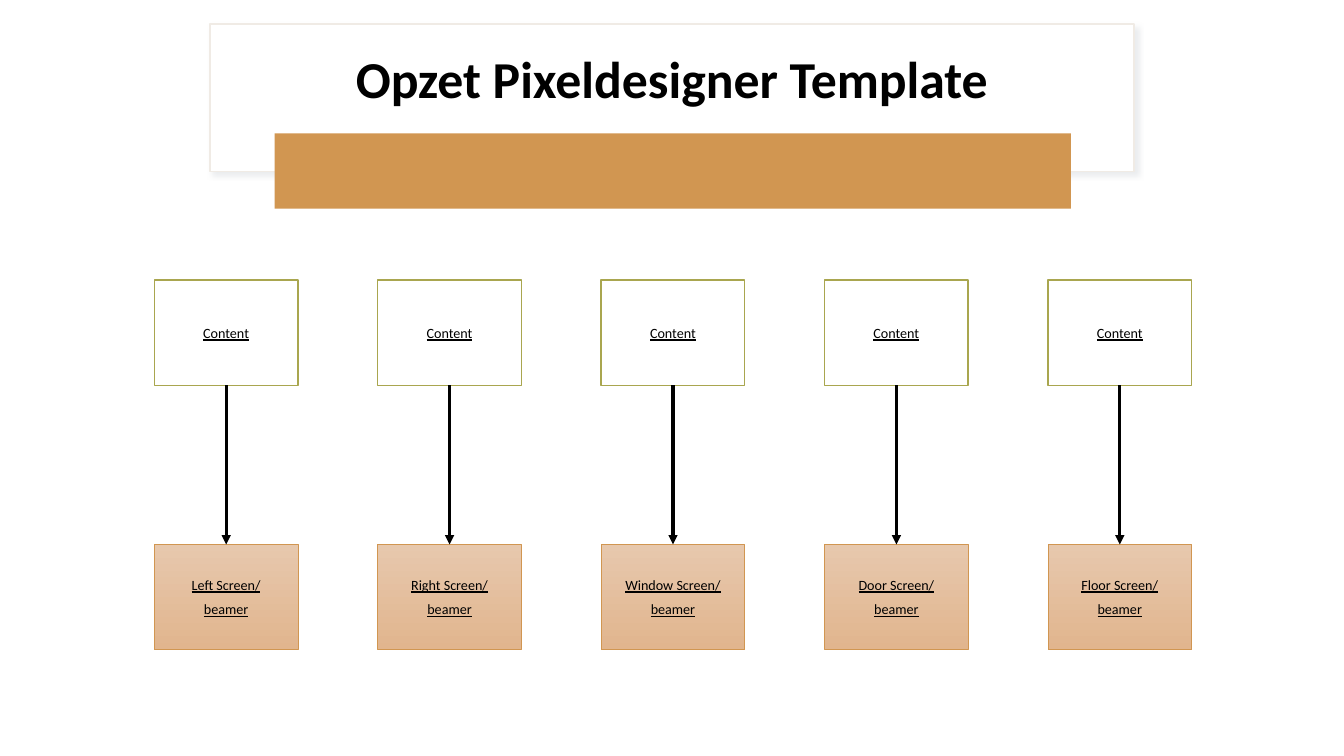
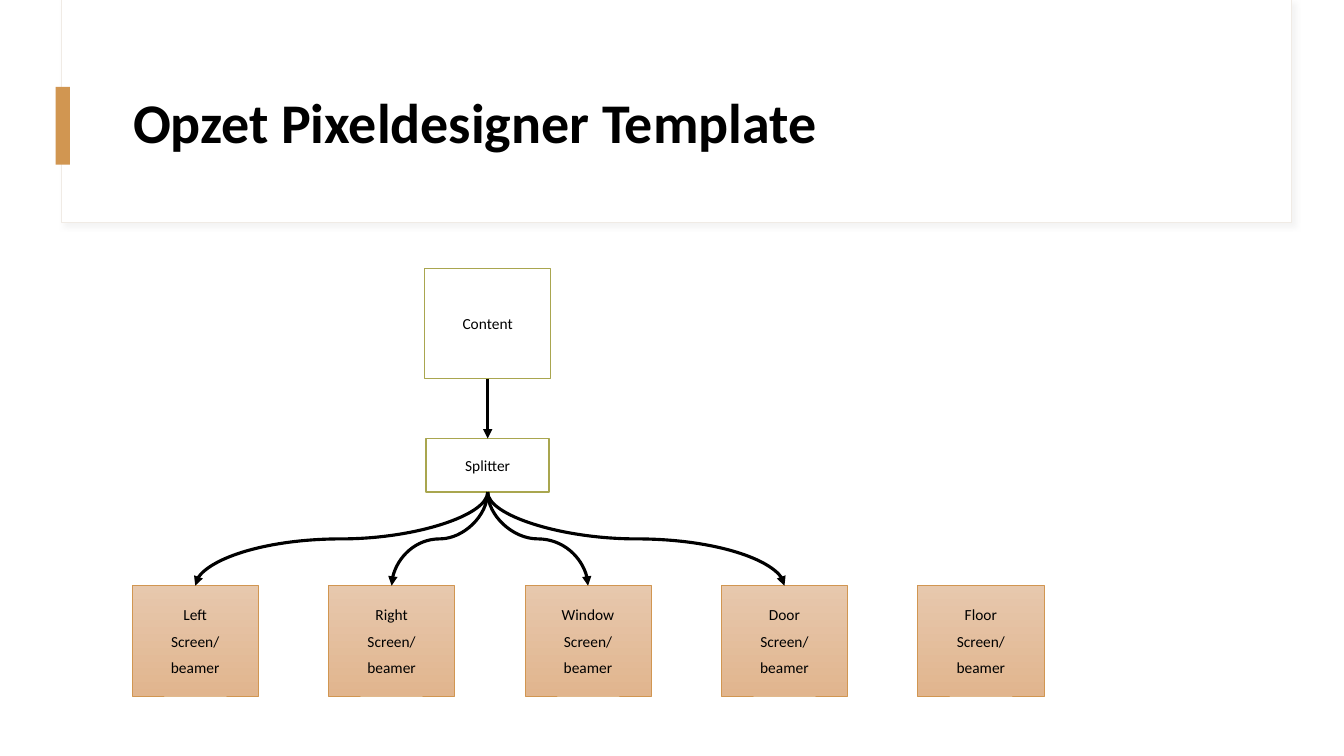
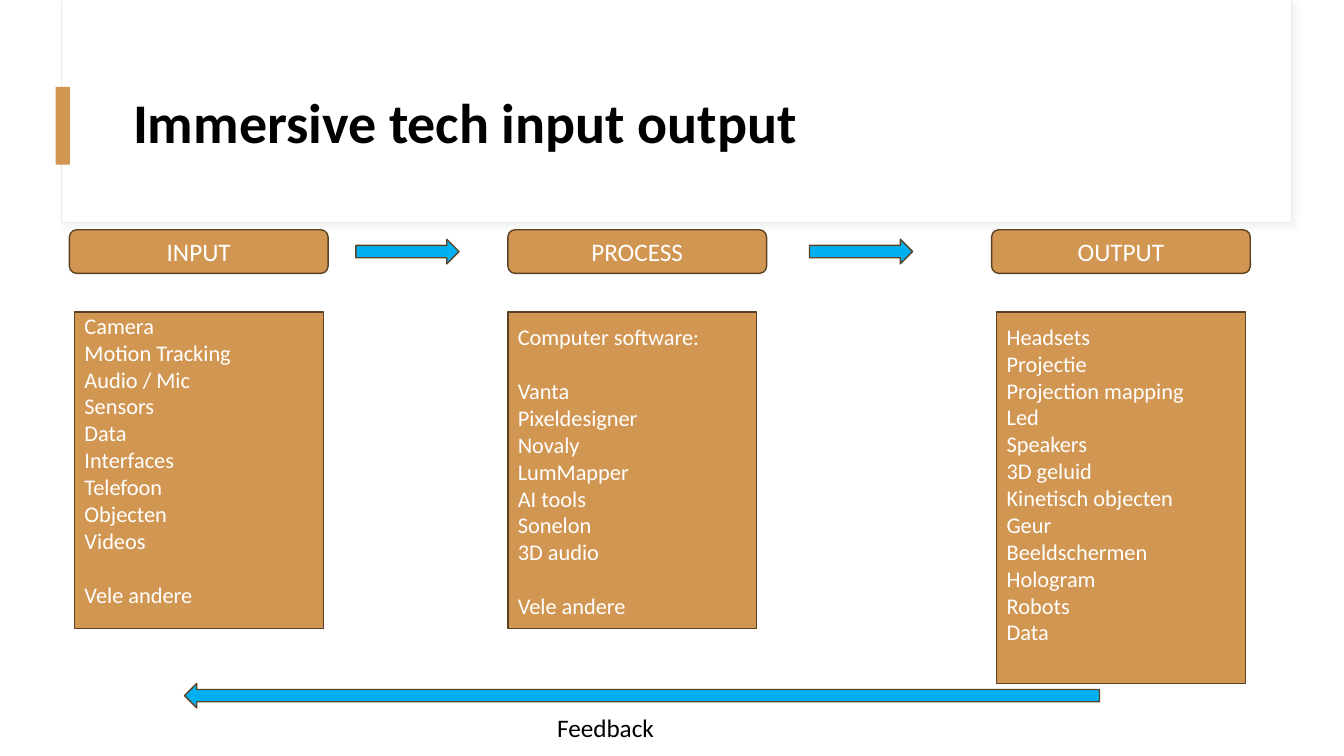
import dataclasses

import lxml.etree
import pptx
import pptx.dml.color
import pptx.enum.shapes
import pptx.enum.text
import pptx.oxml.ns
import pptx.util

Cm = pptx.util.Cm
Pt = pptx.util.Pt
KIND = pptx.enum.shapes.MSO_SHAPE
LINK = pptx.enum.shapes.MSO_CONNECTOR
ALIGN = pptx.enum.text.PP_ALIGN
ANCHOR = pptx.enum.text.MSO_ANCHOR
qn = pptx.oxml.ns.qn


@dataclasses.dataclass(frozen=True)
class Theme:
    """Colours, font and type sizes of the deck."""
    font: str = "Calibri"
    black: str = "000000"
    white: str = "FFFFFF"
    gold: str = "D19651"
    brown: str = "5C4224"
    olive: str = "A9A64F"
    blue: str = "00B0F0"
    edge: str = "F0EBE5"
    mist: str = "D9D9D9"
    steel: str = "BCC3CA"
    fade: tuple = ("E7C8AD", "E1B58E")
    cover: float = 37
    title: float = 40
    head: float = 18
    body: float = 16
    node: float = 11
    small: float = 10.1


THEME = Theme()
NAMES = ("Left", "Right", "Window", "Door", "Floor")


def rgb(code):
    """Turn a hex code into a colour."""
    return pptx.dml.color.RGBColor.from_string(code)


def write(shape, text, size, color=THEME.black, bold=False, under=False, align=ALIGN.LEFT,
          anchor=ANCHOR.MIDDLE, after=0, line=None, gaps=None, inset=None):
    """Fill a shape with formatted lines of text; gaps maps a line to its space before."""
    frame = shape.text_frame
    frame.word_wrap = True
    frame.auto_size = pptx.enum.text.MSO_AUTO_SIZE.NONE
    frame.vertical_anchor = anchor
    if inset is not None:
        frame.margin_top = Cm(inset)
    for row, words in enumerate(text.split("\n")):
        para = frame.paragraphs[0] if row == 0 else frame.add_paragraph()
        run = para.add_run()
        run.text = words
        para.alignment = align
        para.space_before = Pt((gaps or {}).get(row, 0))
        para.space_after = Pt(after)
        if line:
            para.line_spacing = line
        font = run.font
        font.name, font.size, font.bold, font.underline = THEME.font, Pt(size), bold, under
        font.color.rgb = rgb(color)


def draw(slide, kind, box, fill, line=None, width=1.0, shade=None):
    """Add a shape with a plain or graded fill and an optional line and shadow."""
    shape = slide.shapes.add_shape(kind, *map(Cm, box))
    shape.shadow.inherit = False
    if isinstance(fill, tuple):
        shape.fill.gradient()
        shape.fill.gradient_angle = 270
        for stop, code in zip(shape.fill.gradient_stops, fill):
            stop.color.rgb = rgb(code)
    else:
        shape.fill.solid()
        shape.fill.fore_color.rgb = rgb(fill)
    if line:
        shape.line.color.rgb = rgb(line)
        shape.line.width = Pt(width)
    else:
        shape.line.fill.background()
    if shade:
        host = shape.element.spPr.find(qn("a:effectLst"))
        cast = lxml.etree.SubElement(host, qn("a:outerShdw"), blurRad="50800", dist="38100",
                                     dir="2700000", algn="tl", rotWithShape="0")
        tint = lxml.etree.SubElement(cast, qn("a:srgbClr"), val=shade)
        lxml.etree.SubElement(tint, qn("a:alpha"), val="30000")
    return shape


def arrow(slide, start, end, kind=LINK.STRAIGHT):
    """Add a black arrow between two points."""
    link = slide.shapes.add_connector(kind, *map(Cm, (*start, *end)))
    link.line.color.rgb = rgb(THEME.black)
    link.line.width = Pt(2.25)
    props = link.element.spPr
    lxml.etree.SubElement(props.find(qn("a:ln")), qn("a:tailEnd"), type="triangle")
    lxml.etree.SubElement(props, qn("a:effectLst"))
    return link


def curve(slide, start, end):
    """Add a curved arrow that leaves and arrives vertically."""
    (left, top), (right, low) = start, end
    mid, level = (left + right) / 2, (top + low) / 2
    tall, wide = (low - top) / 2, abs(right - left) / 2
    turn, side = (270, tall) if right > left else (90, -tall)
    link = arrow(slide, (mid + side, level - wide), (mid - side, level + wide), LINK.CURVE)
    link.element.spPr.find(qn("a:xfrm")).set("rot", str(turn * 60000))


def place(slide, text, box, size, align=ALIGN.LEFT):
    """Move the title in front of what is drawn so far and write it."""
    title = slide.shapes.title
    title.left, title.top, title.width, title.height = map(Cm, box)
    title.element.getparent().append(title.element)
    write(title, text, size, bold=True, align=align, line=0.9)


def banner(slide, text):
    """Draw the framed title band and its gold tab."""
    draw(slide, KIND.RECTANGLE, (1.55, 0, 31.01, 5.61), THEME.white, THEME.edge, 0.75, THEME.mist)
    draw(slide, KIND.RECTANGLE, (1.4, 2.19, 0.36, 1.96), THEME.gold)
    place(slide, text, (3.1, 1.52, 28.24, 3.28), THEME.title)


def cover(slide, text, left, top):
    """Draw the centred title card with the gold bar across its foot."""
    draw(slide, KIND.RECTANGLE, (left, top, 23.29, 3.71), THEME.white, THEME.edge, 1, THEME.steel)
    place(slide, text, (left + 0.56, top + 0.25, 22.17, 2.41), THEME.cover, ALIGN.CENTER)
    draw(slide, KIND.RECTANGLE, (left + 1.63, top + 2.75, 20.07, 1.9), THEME.gold)


def source(slide, text, box, **form):
    """Draw a white node with an olive line."""
    node = draw(slide, KIND.RECTANGLE, box, THEME.white, THEME.olive)
    write(node, text, align=ALIGN.CENTER, **form)


def screen(slide, text, box, **form):
    """Draw a graded screen node."""
    node = draw(slide, KIND.RECTANGLE, box, THEME.fade, THEME.gold, 0.5)
    write(node, text, align=ALIGN.CENTER, **form)


def pairs(slide, left, top):
    """Draw one content node above each screen, joined by an arrow."""
    wide, high, step, drop = 3.62, 2.65, 5.63, 6.66
    form = dict(size=THEME.small, under=True, after=5.5)
    for col, name in enumerate(NAMES):
        edge = left + col * step
        mid = edge + wide / 2
        source(slide, "Content", (edge, top, wide, high), **form)
        screen(slide, f"{name} Screen/\nbeamer", (edge, top + drop, wide, high), **form)
        arrow(slide, (mid, top + high), (mid, top + drop))


def split(slide, left, top):
    """Draw one content node that a splitter sends to four of five screens."""
    wide, high, step = 3.18, 2.78, 4.95
    mid, fork, low, base = left + 8.96, top + 4.29, top + 5.64, top + 8
    form = dict(size=THEME.node, after=6)
    for col, name in enumerate(NAMES):
        edge = left + col * step
        screen(slide, f"{name}\nScreen/\nbeamer", (edge, base, wide, high), **form)
    source(slide, "Splitter", (mid - 1.55, fork, 3.1, low - fork), **form)
    source(slide, "Content", (mid - wide / 2, top, wide, high), **form)
    for col in range(len(NAMES) - 1):
        curve(slide, (mid, low), (left + col * step + wide / 2, base))
    arrow(slide, (mid, top + high), (mid, fork))


def column(slide, left, top, head, items, shift=0.0, high=7.98, inset=0.28, gaps=None):
    """Draw a rounded heading above a box of items."""
    label = draw(slide, KIND.ROUNDED_RECTANGLE, (left, top, 6.52, 1.1), THEME.gold, THEME.brown)
    write(label, head, THEME.head, THEME.white, align=ALIGN.CENTER)
    panel = draw(slide, KIND.RECTANGLE, (left + shift, top + 2.07, 6.27, high),
                 THEME.gold, THEME.brown)
    write(panel, items, THEME.body, THEME.white, anchor=ANCHOR.TOP, inset=inset, gaps=gaps)


def flow(slide, left, top):
    """Draw the input, process and output columns with the arrows between them."""
    blank = 19.5
    column(slide, left, top, "INPUT",
           "Camera\nMotion Tracking\nAudio / Mic\nSensors\nData\nInterfaces\nTelefoon\n"
           "Objecten\nVideos\nVele andere", shift=0.13, inset=0, gaps={9: blank})
    column(slide, left + 11.05, top, "PROCESS",
           "Computer software:\nVanta\nPixeldesigner\nNovaly\nLumMapper\nAI tools\nSonelon\n"
           "3D audio\nVele andere", gaps={1: blank, 8: blank})
    column(slide, left + 23.24, top, "OUTPUT",
           "Headsets\nProjectie\nProjection mapping\nLed\nSpeakers\n3D geluid\n"
           "Kinetisch objecten\nGeur\nBeeldschermen\nHologram\nRobots\nData",
           shift=0.13, high=9.36)
    for kind, side, down, wide in ((KIND.RIGHT_ARROW, 7.22, 0.24, 2.6),
                                   (KIND.RIGHT_ARROW, 18.65, 0.24, 2.6),
                                   (KIND.LEFT_ARROW, 2.9, 11.43, 23.06)):
        draw(slide, kind, (left + side, top + down, wide, 0.62), THEME.blue, THEME.brown)
    note = slide.shapes.add_textbox(*map(Cm, (left + 12.04, top + 12.04, 4.55, 1.03)))
    write(note, "Feedback", THEME.head, anchor=ANCHOR.TOP)


def main():
    """Build and save the three slides."""
    deck = pptx.Presentation()
    deck.slide_width, deck.slide_height = Cm(33.87), Cm(19.05)
    first, second, third = (deck.slides.add_slide(deck.slide_layouts[5]) for _ in range(3))
    name = "Opzet Pixeldesigner Template"
    cover(first, name, 5.29, 0.61)
    pairs(first, 3.89, 7.06)
    banner(second, name)
    split(second, 3.33, 6.76)
    banner(third, "Immersive tech input output")
    flow(third, 1.75, 5.79)
    deck.save("out.pptx")


if __name__ == "__main__":
    main()
